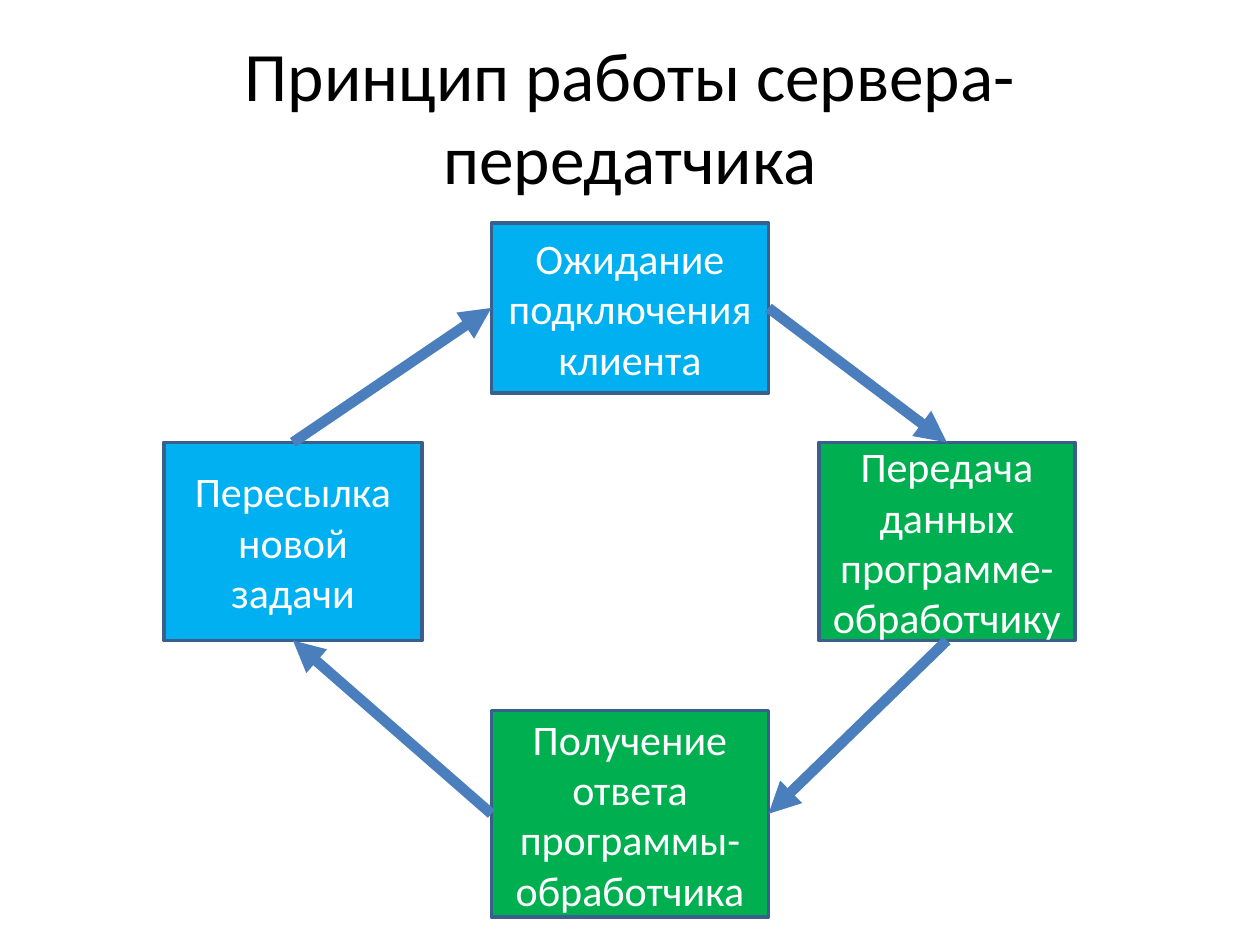
from lxml import etree
from pptx import Presentation
from pptx.dml.color import RGBColor
from pptx.enum import shapes, text
from pptx.oxml import ns
from pptx.util import Pt

BLACK = RGBColor(0x00, 0x00, 0x00)
WHITE = RGBColor(0xFF, 0xFF, 0xFF)
BLUE = RGBColor(0x00, 0xB0, 0xF0)
GREEN = RGBColor(0x00, 0xB0, 0x50)
BORDER = RGBColor(0x3A, 0x5F, 0x8C)
ARROW = RGBColor(0x4B, 0x7E, 0xBC)
TOP, LEFT, BOTTOM, RIGHT = range(4)


def add_text(sp, wording, size=24, color=WHITE, font="Calibri"):
    """Write one centred paragraph into a shape."""
    tf = sp.text_frame
    tf.word_wrap = True
    tf.auto_size = text.MSO_AUTO_SIZE.NONE
    tf.vertical_anchor = text.MSO_ANCHOR.MIDDLE
    p = tf.paragraphs[0]
    p.alignment = text.PP_ALIGN.CENTER
    r = p.add_run()
    r.text = wording
    r.font.size = Pt(size)
    r.font.name = font
    r.font.color.rgb = color


def add_title(s, x, y, w, h):
    """Place and fill the title placeholder."""
    sp = s.shapes.title
    sp.left, sp.top, sp.width, sp.height = Pt(x), Pt(y), Pt(w), Pt(h)
    add_text(sp, "Принцип работы сервера-передатчика", size=39.6, color=BLACK)


def add_step(s, wording, fill, x, y, w, h):
    """Draw one step of the cycle."""
    sp = s.shapes.add_shape(shapes.MSO_SHAPE.RECTANGLE, Pt(x), Pt(y), Pt(w), Pt(h))
    sp.shadow.inherit = False
    sp.fill.solid()
    sp.fill.fore_color.rgb = fill
    sp.line.color.rgb = BORDER
    sp.line.width = Pt(2)
    add_text(sp, wording)
    return sp


def add_arrow(s, start, start_side, end, end_side):
    """Join two steps with an arrow."""
    c = s.shapes.add_connector(shapes.MSO_CONNECTOR.STRAIGHT, 0, 0, 0, 0)
    c.begin_connect(start, start_side)
    c.end_connect(end, end_side)
    c.line.color.rgb = ARROW
    c.line.width = Pt(6)
    etree.SubElement(c.line._get_or_add_ln(), ns.qn("a:tailEnd"), type="triangle")
    etree.SubElement(c._element.spPr, ns.qn("a:effectLst"))


def add_cycle(s, x, y, w, h):
    """Draw the four steps round the box and the arrows between them."""
    mid_w, mid_x = 158.4, x + 187.2
    side_h, side_y = 113.2, y + 125.4
    right_w, bottom_h = 146.2, 118.1
    first = add_step(s, "Ожидание подключения клиента", BLUE, mid_x, y, mid_w, 97.2)
    second = add_step(s, "Передача данных программе-обработчику", GREEN,
                      x + w - right_w, side_y, right_w, side_h)
    third = add_step(s, "Получение ответа программы-обработчика", GREEN,
                     mid_x, y + h - bottom_h, mid_w, bottom_h)
    fourth = add_step(s, "Пересылка новой задачи", BLUE, x, side_y, 147.6, side_h)
    add_arrow(s, first, RIGHT, second, TOP)
    add_arrow(s, second, BOTTOM, third, RIGHT)
    add_arrow(s, third, LEFT, fourth, BOTTOM)
    add_arrow(s, fourth, TOP, first, LEFT)


def main():
    """Build and save the slide."""
    prs = Presentation()
    prs.slide_width, prs.slide_height = Pt(720), Pt(540)
    s = prs.slides.add_slide(prs.slide_layouts[5])
    add_title(s, 36, 21, 648, 90)
    add_cycle(s, 93.6, 127.4, 520.6, 396.7)
    prs.save("out.pptx")


if __name__ == "__main__":
    main()
